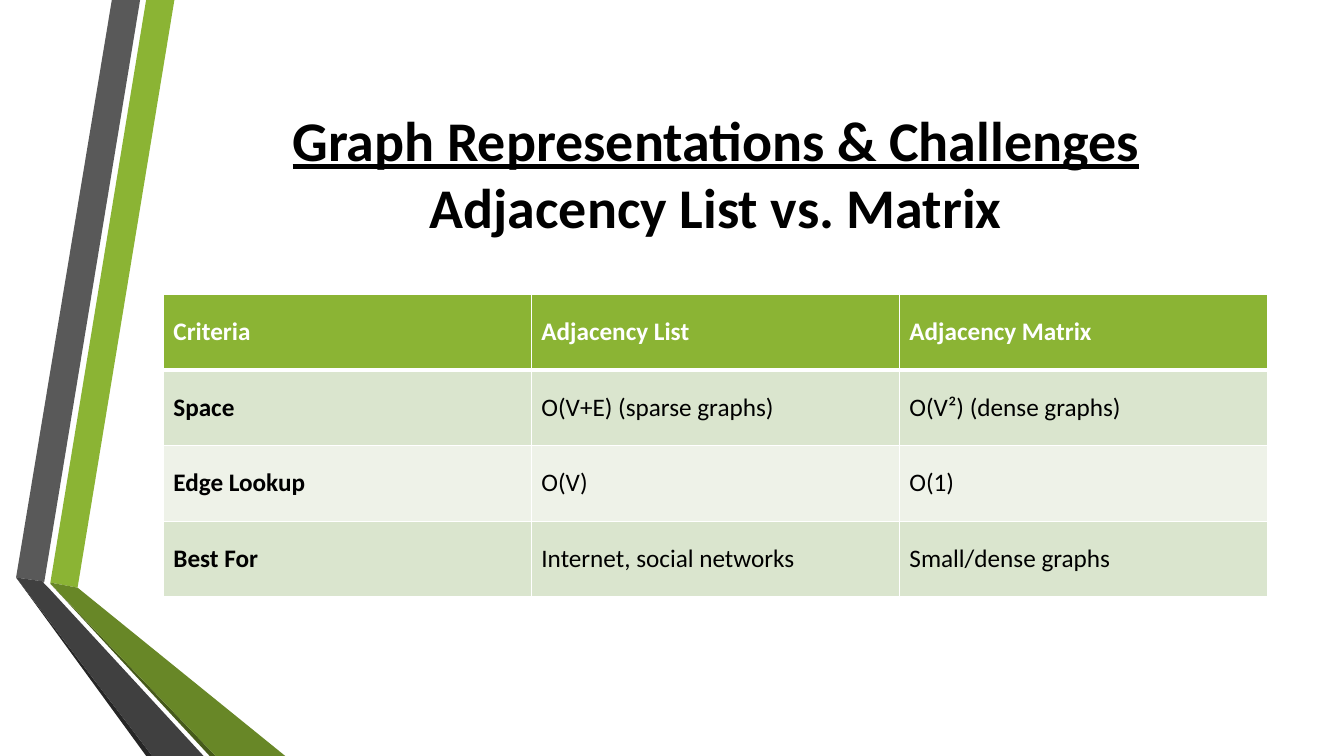
from dataclasses import dataclass

from lxml.etree import SubElement
from pptx import Presentation
from pptx.dml.color import RGBColor
from pptx.enum.text import MSO_ANCHOR, PP_ALIGN
from pptx.oxml.ns import qn
from pptx.util import Emu, Pt

EMU_PER_PX = 9144  # 100 px to the inch


@dataclass(frozen=True)
class Theme:
    font: str = "Calibri"
    title_size: int = 40
    table_size: int = 18
    text: str = "000000"
    white: str = "FFFFFF"
    green: str = "8BB434"
    green_dark: str = "688727"
    green_shadow: str = "465A1A"
    gray: str = "595959"
    gray_dark: str = "404040"
    gray_shadow: str = "262626"
    band_odd: str = "DAE5CE"
    band_even: str = "EEF2E8"
    border: int = 1
    header_border: int = 3


def px(length):
    return Emu(length * EMU_PER_PX)


class SlideBuilder:
    def __init__(self, slide, theme):
        self.slide = slide
        self.theme = theme

    def format_run(self, run, size, color, bold=False, underline=False):
        run.font.name = self.theme.font
        run.font.size = Pt(size)
        run.font.color.rgb = RGBColor.from_string(color)
        run.font.bold = bold
        run.font.underline = underline

    def polygon(self, points, color):
        builder = self.slide.shapes.build_freeform(*points[0], scale=EMU_PER_PX)
        builder.add_line_segments(points[1:], close=True)
        shape = builder.convert_to_shape()
        shape.shadow.inherit = False
        shape.fill.solid()
        shape.fill.fore_color.rgb = RGBColor.from_string(color)
        shape.line.fill.background()

    def title(self, underlined, plain, left, top, width, height):
        box = self.slide.shapes.add_textbox(px(left), px(top), px(width), px(height))
        text_frame = box.text_frame
        text_frame.word_wrap = True
        text_frame.vertical_anchor = MSO_ANCHOR.MIDDLE
        paragraph = text_frame.paragraphs[0]
        paragraph.text = f"{underlined}\v{plain}"
        paragraph.alignment = PP_ALIGN.CENTER
        for run, underline in zip(paragraph.runs, (True, False)):
            self.format_run(run, self.theme.title_size, self.theme.text, True, underline)

    def cell_borders(self, cell, top, bottom):
        """Draw white borders; top and bottom are widths in points."""
        properties = cell._tc.get_or_add_tcPr()
        side = self.theme.border
        for tag, width in (("lnL", side), ("lnR", side), ("lnT", top), ("lnB", bottom)):
            line = SubElement(properties, qn(f"a:{tag}"), w=str(Pt(width)))
            fill = SubElement(line, qn("a:solidFill"))
            SubElement(fill, qn("a:srgbClr"), val=self.theme.white)

    def table(self, rows, left, top, column_width, row_height):
        theme = self.theme
        column_count = len(rows[0])
        table = self.slide.shapes.add_table(
            len(rows), column_count, px(left), px(top),
            px(column_width * column_count), px(row_height * len(rows))).table
        for row_index, row in enumerate(rows):
            header = row_index == 0
            band = theme.band_odd if row_index % 2 else theme.band_even
            for column_index, text in enumerate(row):
                cell = table.cell(row_index, column_index)
                self.cell_borders(
                    cell,
                    top=theme.header_border if row_index == 1 else theme.border,
                    bottom=theme.header_border if header else theme.border)
                cell.fill.solid()
                cell.fill.fore_color.rgb = RGBColor.from_string(theme.green if header else band)
                cell.vertical_anchor = MSO_ANCHOR.MIDDLE
                cell.text_frame.text = text
                self.format_run(cell.text_frame.paragraphs[0].runs[0], theme.table_size,
                                theme.white if header else theme.text,
                                bold=header or column_index == 0)


def main():
    presentation = Presentation()
    presentation.slide_width = px(1333)
    presentation.slide_height = px(750)
    theme = Theme()
    slide = presentation.slides.add_slide(presentation.slide_layouts[6])
    builder = SlideBuilder(slide, theme)

    ribbons = [
        ([(50, 578), (77, 583), (173, 0), (145, 0)], theme.green),
        ([(139, 0), (111, 0), (16, 573), (44, 577)], theme.gray),
        ([(16, 573), (145, 750), (151, 750)], theme.gray_shadow),
        ([(50, 579), (208, 750), (214, 750)], theme.green_shadow),
        ([(50, 579), (214, 750), (283, 750), (77, 583), (50, 578)], theme.green_dark),
        ([(202, 750), (48, 583), (43, 578), (44, 577), (16, 573), (151, 750)], theme.gray_dark),
    ]
    for points, color in ribbons:
        builder.polygon(points, color)

    builder.title("Graph Representations & Challenges", "Adjacency List vs. Matrix",
                  162, 75, 1096, 192)
    builder.table([
        ("Criteria", "Adjacency List", "Adjacency Matrix"),
        ("Space", "O(V+E) (sparse graphs)", "O(V²) (dense graphs)"),
        ("Edge Lookup", "O(V)", "O(1)"),
        ("Best For", "Internet, social networks", "Small/dense graphs"),
    ], left=162, top=292, column_width=365, row_height=75)

    presentation.save("out.pptx")


if __name__ == "__main__":
    main()
